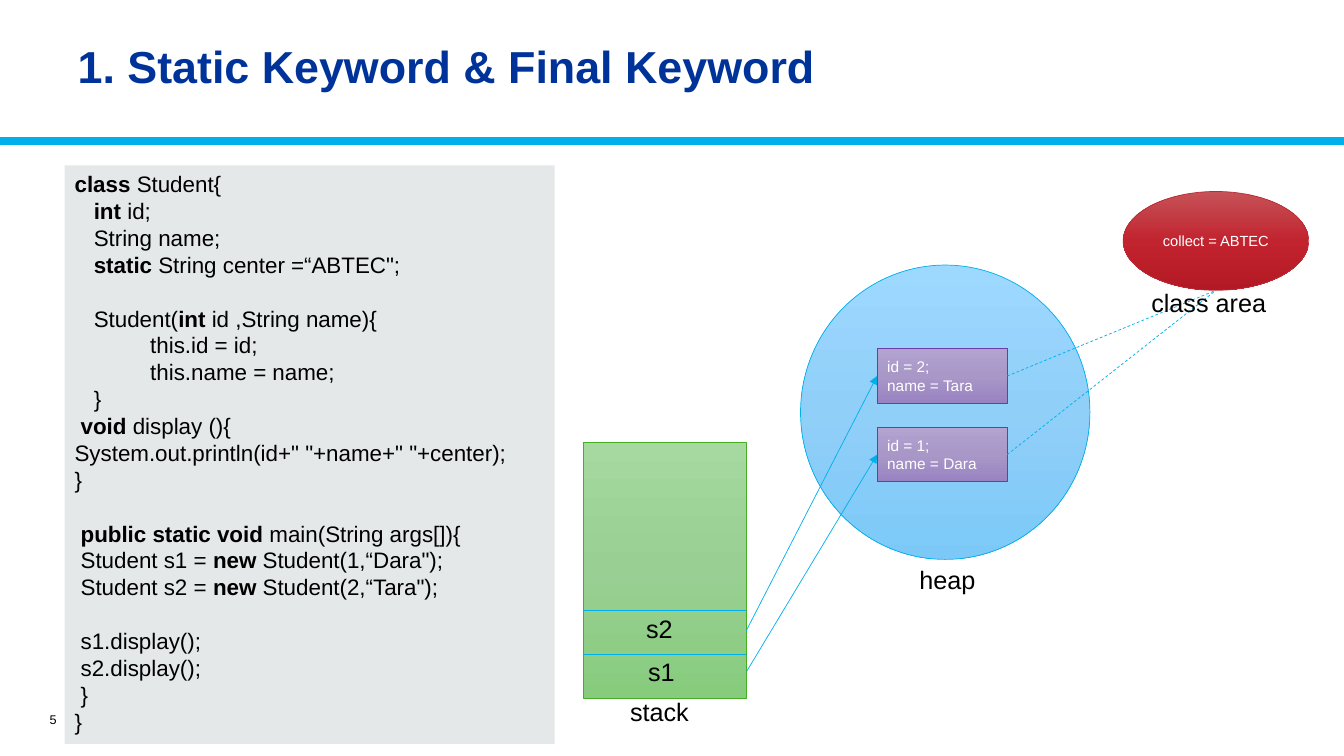
from copy import deepcopy

from lxml import etree
from pptx import Presentation
from pptx import util as u
from pptx.dml.color import RGBColor
from pptx.enum import dml, shapes, text
from pptx.oxml.ns import qn

COLOURS = {"black": "000000", "white": "FFFFFF", "navy": "003399",
           "cyan": "00B0EA", "panel": "E5E8E8", "green": "45AE22",
           "purple": "6C3CA2", "red": "BB2B35"}
GRADIENTS = {"green": ("A5D99F", "99CF92", "87CC7D"),
             "cyan": ("9DD8FF", "90CFF8", "7CC9F8"),
             "purple": ("B3A3D1", "A897C7", "9A83C2"),
             "red": ("C55257", "C2242F", "B31924")}
RECT = shapes.MSO_SHAPE.RECTANGLE
OVAL = shapes.MSO_SHAPE.OVAL
LEFT, CENTER, RIGHT = text.PP_ALIGN.LEFT, text.PP_ALIGN.CENTER, text.PP_ALIGN.RIGHT
TOP, MIDDLE = text.MSO_ANCHOR.TOP, text.MSO_ANCHOR.MIDDLE

MEMBER, MAIN, BODY = 0.19, 0.06, 0.75
# Each entry: left indent in inches, code with *bold* words, gap above
CODE = [
    (0, "*class *Student{", False),
    (MEMBER, "*int *id;", False),
    (MEMBER, "String name;", False),
    (MEMBER, "*static* String center =“ABTEC\";", False),
    (MEMBER, "Student(*int *id ,String name){", True),
    (BODY, "this.id = id;", False),
    (BODY, "this.name = name;", False),
    (MEMBER, "}", False),
    (MAIN, "*void* display (){", False),
    (0, "System.out.println(id+\" \"+name+\" \"+center);", False),
    (0, "}", False),
    (MAIN, "*public static void* main(String args[]){", True),
    (MAIN, "Student s1 = *new *Student(1,“Dara\");", False),
    (MAIN, "Student s2 = *new *Student(2,“Tara\");", False),
    (MAIN, "s1.display();", True),
    (MAIN, "s2.display();", False),
    (MAIN, "}", False),
    (0, "}", False),
]


def rgb(name):
    return RGBColor.from_string(COLOURS.get(name, name))


def write(para, content, size=18, colour="black", bold=False, align=LEFT):
    """Fill a paragraph; words between asterisks switch to bold."""
    para.alignment = align
    for index, piece in enumerate(content.split("*")):
        if piece:
            span = para.add_run()
            span.text = piece
            span.font.name = "Arial"
            span.font.size = u.Pt(size)
            span.font.bold = bold or index % 2 == 1
            span.font.color.rgb = rgb(colour)


class Painter:
    def __init__(self, page):
        self.page = page

    def place(self, item, left, top, width, height):
        item.left, item.top = u.Inches(left), u.Inches(top)
        item.width, item.height = u.Inches(width), u.Inches(height)

    def title(self, content, *frame):
        box = self.page.shapes.title
        self.place(box, *frame)
        box.text_frame.vertical_anchor = MIDDLE
        write(box.text_frame.paragraphs[0], content, size=32, colour="navy", bold=True)

    def code(self, lines, *frame):
        box = self.page.placeholders[1]
        self.place(box, *frame)
        box.fill.solid()
        box.fill.fore_color.rgb = rgb("panel")
        box.text_frame.auto_size = text.MSO_AUTO_SIZE.NONE
        pitch = u.Pt(19.2)
        for index, (indent, content, gap) in enumerate(lines):
            para = box.text_frame.paragraphs[0] if index == 0 else box.text_frame.add_paragraph()
            para.line_spacing = pitch
            para.space_before = pitch if gap else u.Pt(0)
            para.space_after = u.Pt(0)
            props = para._p.get_or_add_pPr()
            props.set("marL", str(u.Inches(indent)))
            props.set("indent", "0")
            etree.SubElement(props, qn("a:buNone"))
            write(para, content, size=16)

    def label(self, content, left, top, width, height=0.44, anchor=TOP, **style):
        box = self.page.shapes.add_textbox(0, 0, 0, 0)
        self.place(box, left, top, width, height)
        box.text_frame.word_wrap = False
        box.text_frame.vertical_anchor = anchor
        write(box.text_frame.paragraphs[0], content, **style)

    def shape(self, kind, colour, *frame, lines=(), size=11, align=LEFT):
        """Draw an outlined shape with a top-to-bottom gradient."""
        item = self.page.shapes.add_shape(kind, 0, 0, 0, 0)
        self.place(item, *frame)
        item.shadow.inherit = False
        item.line.color.rgb = rgb(colour)
        item.line.width = u.Pt(0.5)
        item.fill.gradient()
        item.fill.gradient_angle = 270
        stops = item.element.spPr.find(f".//{qn('a:gsLst')}")
        stops.insert(1, deepcopy(stops[0]))
        for stop, position, shade in zip(item.fill.gradient_stops, (0, 0.5, 1), GRADIENTS[colour]):
            stop.position = position
            stop.color.rgb = rgb(shade)
        frame_text = item.text_frame
        frame_text.vertical_anchor = MIDDLE
        for index, content in enumerate(lines):
            para = frame_text.paragraphs[0] if index == 0 else frame_text.add_paragraph()
            write(para, content, size=size, colour="white", align=align)

    def line(self, start, end, width=0.5, dashed=False, arrow=False):
        points = [u.Inches(value) for value in (*start, *end)]
        item = self.page.shapes.add_connector(shapes.MSO_CONNECTOR.STRAIGHT, *points)
        item.line.color.rgb = rgb("cyan")
        item.line.width = u.Pt(width)
        if dashed:
            item.line.dash_style = dml.MSO_LINE.DASH
        if arrow:
            etree.SubElement(item.line._get_or_add_ln(), qn("a:tailEnd"), type="triangle")
        etree.SubElement(item.element.spPr, qn("a:effectLst"))


def main():
    deck = Presentation()
    deck.slide_width, deck.slide_height = u.Inches(13.33), u.Inches(7.5)
    painter = Painter(deck.slides.add_slide(deck.slide_layouts[1]))

    painter.line((0, 1.4), (13.33, 1.4), width=6)
    painter.title("1. Static Keyword & Final Keyword", 0.67, 0.1, 12.02, 1.11)
    painter.label("5", 0.09, 6.99, 0.57, 0.3, anchor=MIDDLE, size=9, align=RIGHT)
    painter.code(CODE, 0.64, 1.64, 4.86, 5.74)

    painter.shape(RECT, "green", 5.79, 4.39, 1.61, 2.54)
    for divider in (6.49, 6.06):
        painter.line((5.78, divider), (7.4, divider))
    painter.label("s1", 6.33, 6.46, 0.48)
    painter.label("s2", 6.31, 6.04, 0.48)

    painter.shape(OVAL, "cyan", 7.94, 2.63, 2.87, 2.92)
    painter.shape(OVAL, "red", 11.14, 1.9, 1.84, 0.98,
                  lines=["collect = ABTEC"], size=10.5, align=CENTER)
    students = [(2, "Tara", 3.46, 6.26), (1, "Dara", 4.24, 6.67)]
    for number, name, top, stack_y in students:
        painter.shape(RECT, "purple", 8.7, top, 1.29, 0.54,
                      lines=[f"id = {number};", f"name = {name}"])
    for number, name, top, stack_y in students:
        middle = top + 0.27
        painter.line((7.4, stack_y), (8.7, middle), arrow=True)
        painter.line((9.99, middle), (12.06, 2.88), dashed=True)

    painter.label("stack", 6.15, 6.86, 0.81)
    painter.label("heap", 9.02, 5.55, 0.78)
    painter.label("class area", 11.32, 2.8, 1.39)
    deck.save("out.pptx")


if __name__ == "__main__":
    main()
